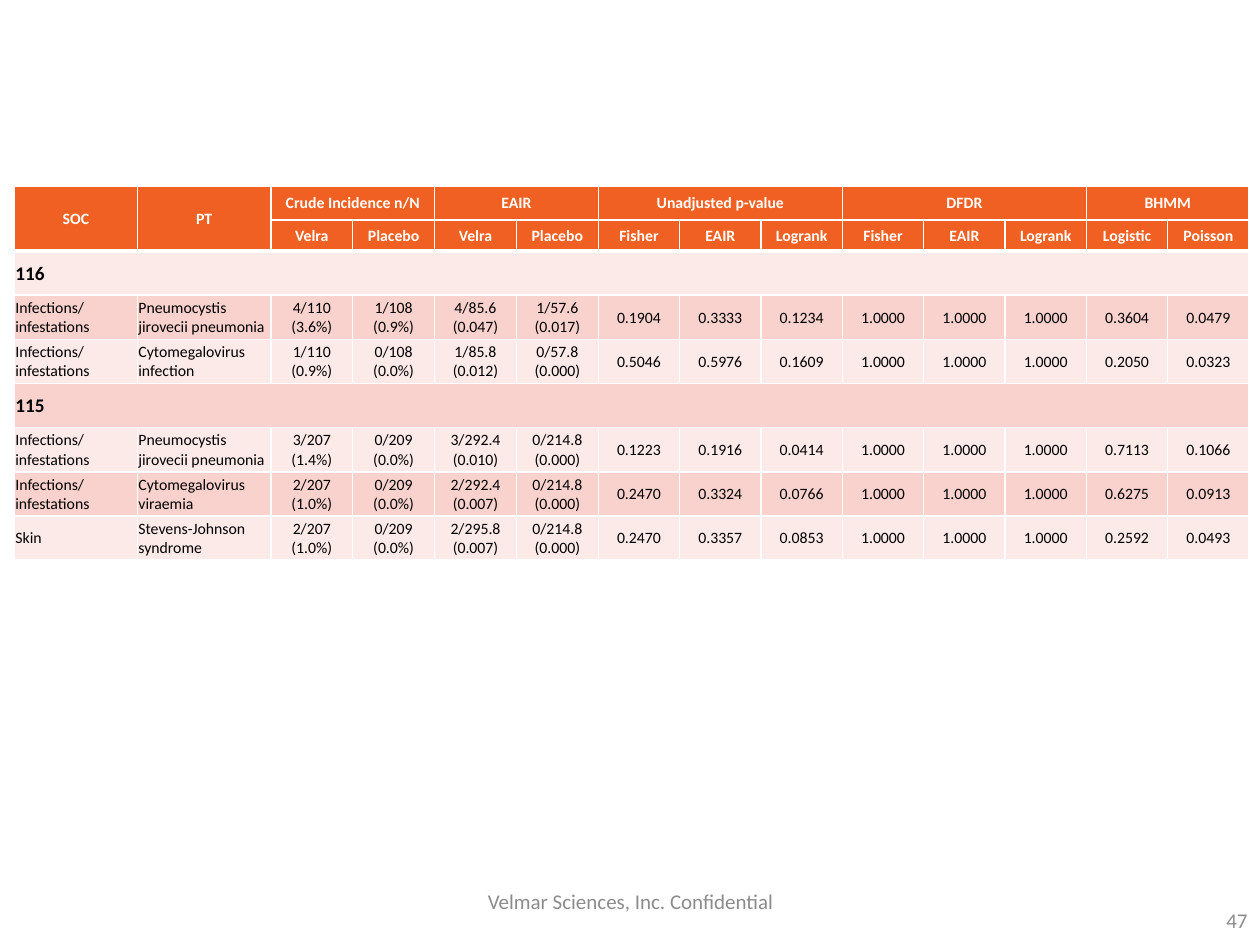
"""Builds a slide with a table of adverse event statistics by study."""
from lxml import etree
from pptx import Presentation
from pptx import util as u
from pptx.dml.color import RGBColor
from pptx.enum import text
from pptx.oxml.ns import qn

HUES = {"head": "F06022", "pale": "FCEAE8", "rose": "F9D2CD",
        "line": "FFFFFF", "ink": "000000", "note": "8C8C8C"}
LEFT, MID, RIGHT = (text.PP_ALIGN.LEFT, text.PP_ALIGN.CENTER,
                    text.PP_ALIGN.RIGHT)

GROUPS = [("SOC", 1), ("PT", 1), ("Crude Incidence n/N", 2), ("EAIR", 2),
          ("Unadjusted p-value", 3), ("DFDR", 3), ("BHMM", 2)]
ARMS = ["Velra", "Placebo"]
TESTS = ["Fisher", "EAIR", "Logrank"]
HEADS = ["", ""] + ARMS * 2 + TESTS * 2 + ["Logistic", "Poisson"]
INFECT = "Infections/ infestations"
PNEUMO = "Pneumocystis jirovecii pneumonia"
ONES = ["1.0000"] * 3
BODY = [
    ["116"],
    [INFECT, PNEUMO, "4/110 (3.6%)", "1/108 (0.9%)", "4/85.6 (0.047)",
     "1/57.6 (0.017)", "0.1904", "0.3333", "0.1234", *ONES, "0.3604", "0.0479"],
    [INFECT, "Cytomegalovirus infection", "1/110 (0.9%)", "0/108 (0.0%)",
     "1/85.8 (0.012)", "0/57.8 (0.000)", "0.5046", "0.5976", "0.1609", *ONES,
     "0.2050", "0.0323"],
    ["115"],
    [INFECT, PNEUMO, "3/207 (1.4%)", "0/209 (0.0%)", "3/292.4 (0.010)",
     "0/214.8 (0.000)", "0.1223", "0.1916", "0.0414", *ONES, "0.7113", "0.1066"],
    [INFECT, "Cytomegalovirus viraemia", "2/207 (1.0%)", "0/209 (0.0%)",
     "2/292.4 (0.007)", "0/214.8 (0.000)", "0.2470", "0.3324", "0.0766", *ONES,
     "0.6275", "0.0913"],
    ["Skin", "Stevens-Johnson syndrome", "2/207 (1.0%)", "0/209 (0.0%)",
     "2/295.8 (0.007)", "0/214.8 (0.000)", "0.2470", "0.3357", "0.0853", *ONES,
     "0.2592", "0.0493"],
]
WIDTHS = [2.48, 2.69] + [1.65] * 4 + [1.64] * 8
HEIGHTS = [0.67, 0.63] + [0.89] * len(BODY)


class Deck:
    def __init__(self, slide, font):
        self.slide, self.font = slide, font

    def fill_in(self, frame, words, size, hue, align, bold=False):
        frame.text = words
        para = frame.paragraphs[0]
        para.alignment = align
        for run in para.runs:
            run.font.name, run.font.size = self.font, u.Pt(size)
            run.font.bold = bold
            run.font.color.rgb = RGBColor.from_string(HUES[hue])

    def label(self, words, box, align):
        frame = self.slide.shapes.add_textbox(*map(u.Cm, box)).text_frame
        frame.word_wrap = True
        frame.vertical_anchor = text.MSO_ANCHOR.MIDDLE
        self.fill_in(frame, words, 12, "note", align)

    def edge(self, cell, sides):
        props = cell._tc.get_or_add_tcPr()
        for side, width in sides.items():
            line = etree.SubElement(props, qn("a:ln" + side), w=str(u.Pt(width)))
            fill = etree.SubElement(line, qn("a:solidFill"))
            etree.SubElement(fill, qn("a:srgbClr"), val=HUES["line"])

    def paint(self, cell, hue, top=1, base=1):
        self.edge(cell, {"L": 1, "R": 1, "T": top, "B": base})
        cell.fill.solid()
        cell.fill.fore_color.rgb = RGBColor.from_string(HUES[hue])
        cell.vertical_anchor = text.MSO_ANCHOR.MIDDLE
        cell.margin_left = cell.margin_right = cell.margin_top = u.Cm(0.02)
        cell.margin_bottom = 0

    def grid(self, left, top):
        table = self.slide.shapes.add_table(
            len(HEIGHTS), len(WIDTHS), u.Cm(left), u.Cm(top),
            u.Cm(sum(WIDTHS)), u.Cm(sum(HEIGHTS))).table
        for col, width in zip(table.columns, WIDTHS):
            col.width = u.Cm(width)
        for row, height in zip(table.rows, HEIGHTS):
            row.height = u.Cm(height)
        self.header(table)
        self.body(table)

    def header(self, table):
        col = 0
        for words, span in GROUPS:
            cell = table.cell(0, col)
            cell.merge(table.cell(int(span == 1), col + span - 1))
            self.fill_in(cell.text_frame, words, 9, "line", MID, True)
            col += span
        for col, words in enumerate(HEADS):
            upper, lower = table.cell(0, col), table.cell(1, col)
            self.paint(upper, "head", base=1 if words else 2.25)
            self.paint(lower, "head", base=2.25)
            if words:
                self.fill_in(lower.text_frame, words, 9, "line", MID, True)

    def body(self, table):
        last = len(WIDTHS) - 1
        for row, items in enumerate(BODY, 2):
            for col in range(last + 1):
                self.paint(table.cell(row, col), "rose" if row % 2 else "pale",
                           top=2.25 if row == 2 else 1)
            title = len(items) == 1
            if title:
                table.cell(row, 0).merge(table.cell(row, last))
            for col, words in enumerate(items):
                self.fill_in(table.cell(row, col).text_frame, words,
                             11 if title else 9, "ink",
                             LEFT if col < 2 else MID, title)


def main():
    show = Presentation()
    show.slide_width, show.slide_height = u.Cm(25.4), u.Cm(19.05)
    deck = Deck(show.slides.add_slide(show.slide_layouts[6]), "Calibri")
    deck.label("Velmar Sciences, Inc. Confidential", (8.69, 17.65, 8.05, 1.02), MID)
    deck.grid(0.29, 3.76)
    deck.label("47", (19.48, 18.03, 5.92, 1.02), RIGHT)
    show.save("out.pptx")


if __name__ == "__main__":
    main()
